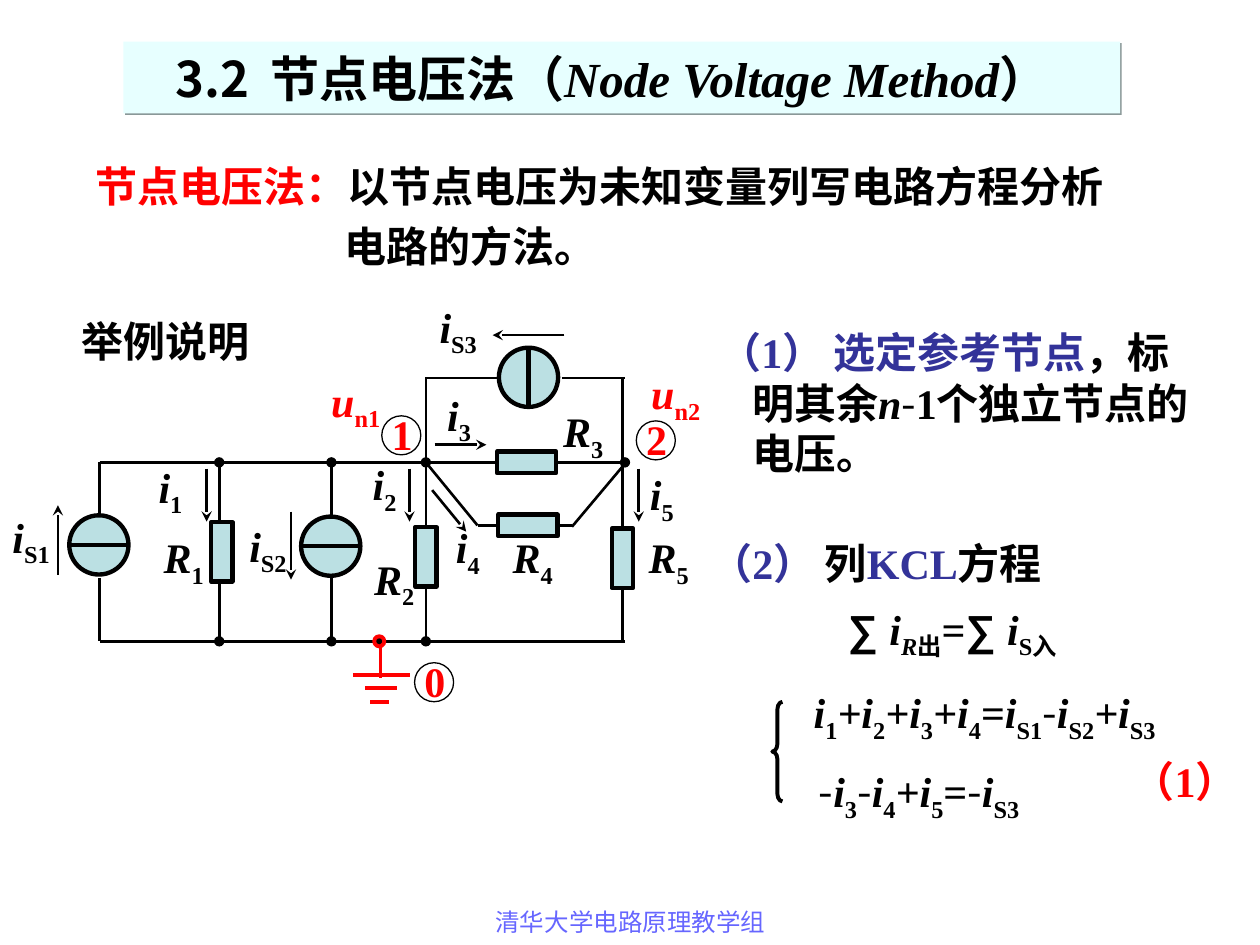
from dataclasses import dataclass
from typing import NamedTuple, Optional

from lxml import etree
from pptx import Presentation
from pptx.dml.color import RGBColor
from pptx.enum.shapes import MSO_CONNECTOR as Connector, MSO_SHAPE as Shape
from pptx.enum.text import MSO_AUTO_SIZE as AutoSize, PP_ALIGN as Align
from pptx.oxml.ns import qn
from pptx.util import Inches, Pt


@dataclass(frozen=True)
class Theme:
    black: str = "000000"
    red: str = "FF0000"
    blue: str = "333399"
    footer_blue: str = "6666FF"
    component: str = "BBE0E3"
    title_fill: str = "E7FFFF"
    title_shadow: str = "8A9898"
    serif: str = "Times New Roman"
    sans: str = "Arial"
    chinese: str = "Noto Sans CJK SC"
    title_size: float = 28
    body_size: float = 24
    footer_size: float = 14
    hairline: float = 0.75
    wire: float = 1.5
    ground: float = 2.25
    outline: float = 2.5


THEME = Theme()


@dataclass(frozen=True)
class Run:
    text: str
    color: str = THEME.black
    italic: bool = False
    bold: bool = True
    subscript: bool = False
    font: str = THEME.serif
    size: float = THEME.body_size
    spacing: float = 0


class Box(NamedTuple):
    left: float
    top: float
    width: float
    height: float


class Wire(NamedTuple):
    start: tuple[float, float]
    end: tuple[float, float]
    head: Optional[str] = None
    tail: Optional[str] = None
    color: str = THEME.black
    width: float = THEME.wire


class Label(NamedTuple):
    letter: str
    index: str
    left: float
    top: float
    color: str = THEME.black


LINE_BREAK = Run("\n")
MINUS = Run("-", font=THEME.chinese, bold=False)
PLUS = Run("+", italic=True)
EQUALS = Run("=")
SUM = Run("∑ ", font=THEME.sans)

presentation = Presentation()
presentation.slide_width, presentation.slide_height = Inches(10), Inches(7.5)
slide = presentation.slides.add_slide(presentation.slide_layouts[6])


def symbol(letter: str, index: str, color: str = THEME.black) -> list[Run]:
    return [Run(letter, color, italic=True), Run(index, color, subscript=True)]


def write(shape, runs: list[Run], wrap: bool = True, **paragraph_format):
    frame = shape.text_frame
    frame.word_wrap = wrap
    frame.auto_size = AutoSize.NONE if wrap else AutoSize.SHAPE_TO_FIT_TEXT
    paragraph = frame.paragraphs[0]
    for name, value in paragraph_format.items():
        setattr(paragraph, name, value)
    for item in runs:
        if item is LINE_BREAK:
            paragraph.add_line_break()
            continue
        run = paragraph.add_run()
        run.text = item.text
        formats = {"size": Pt(item.size), "bold": item.bold, "italic": item.italic, "name": item.font}
        for name, value in formats.items():
            setattr(run.font, name, value)
        run.font.color.rgb = RGBColor.from_string(item.color)
        properties = run._r.get_or_add_rPr()
        etree.SubElement(properties, qn("a:ea"), typeface=THEME.chinese)
        if item.subscript:
            properties.set("baseline", "-25000")
        if item.spacing:
            properties.set("spc", str(int(item.spacing * 100)))
    return paragraph


def add_text(box: Box, runs: list[Run], wrap: bool = True, **paragraph_format):
    shape = slide.shapes.add_textbox(*map(Inches, box))
    return write(shape, runs, wrap, **paragraph_format)


def add_chinese(box: Box, runs: list[Run], wrap: bool = True, stretch: float = 1, **paragraph_format):
    """Chinese text on a fixed line pitch of 1.2 times its size."""
    size = runs[0].size
    shape = slide.shapes.add_textbox(*map(Inches, box))
    shape.text_frame.margin_top = Inches(0.05) + Pt(size / 10)
    return write(shape, runs, wrap, line_spacing=Pt(1.2 * size * stretch), **paragraph_format)


def add_outline(kind: Shape, box: Box, fill: Optional[str], line: Optional[str], width: float = THEME.outline):
    shape = slide.shapes.add_shape(kind, *map(Inches, box))
    shape.shadow.inherit = False
    if fill:
        shape.fill.solid()
        shape.fill.fore_color.rgb = RGBColor.from_string(fill)
    else:
        shape.fill.background()
    if line:
        shape.line.color.rgb = RGBColor.from_string(line)
        shape.line.width = Pt(width)
    else:
        shape.line.fill.background()
    return shape


def add_wire(wire: Wire) -> None:
    connector = slide.shapes.add_connector(Connector.STRAIGHT, *map(Inches, wire.start + wire.end))
    connector.line.color.rgb = RGBColor.from_string(wire.color)
    connector.line.width = Pt(wire.width)
    for tag, kind in (("a:headEnd", wire.head), ("a:tailEnd", wire.tail)):
        if kind:
            etree.SubElement(connector.line._get_or_add_ln(), qn(tag), type=kind)
    etree.SubElement(connector._element.spPr, qn("a:effectLst"))


def add_source(left: float, top: float, vertical_bar: bool = False) -> None:
    size = 0.47
    add_outline(Shape.OVAL, Box(left, top, size, size), THEME.component, THEME.black)
    x, y = left + size / 2, top + size / 2
    ends = ((x, top), (x, top + size)) if vertical_bar else ((left, y), (left + size, y))
    add_wire(Wire(*ends, width=THEME.outline))


def add_resistor(x: float, y: float, width: float = 0.17, height: float = 0.47) -> None:
    box = Box(x - width / 2, y - height / 2, width, height)
    add_outline(Shape.RECTANGLE, box, THEME.component, THEME.black)


def add_label(label: Label) -> None:
    add_text(Box(label.left, label.top, 0.72, 0.56), symbol(label.letter, label.index, label.color))


def add_node_number(number: str, left: float, top: float) -> None:
    add_text(Box(left, top, 0.4, 0.5), [Run(number, THEME.red)])
    add_outline(Shape.OVAL, Box(left + 0.02, top + 0.11, 0.31, 0.31), None, THEME.black, THEME.hairline)


# Title bar with its hard shadow
title = add_outline(Shape.RECTANGLE, Box(0.98, 0.33, 7.91, 0.57), THEME.title_fill, None)
shadow = etree.SubElement(title._element.spPr.find(qn("a:effectLst")), qn("a:outerShdw"),
                          dist=str(Pt(1.4)), dir="2700000", algn="tl", rotWithShape="0")
etree.SubElement(shadow, qn("a:srgbClr"), val=THEME.title_shadow)
heading = {"size": THEME.title_size, "font": THEME.chinese}
write(title, [Run("3.2", **heading), Run(" ", spacing=6, **heading), Run("节点电压法（", **heading),
              Run("Node Voltage Method", italic=True, size=THEME.title_size), Run("）", **heading)],
      alignment=Align.CENTER)
title.text_frame.margin_right = Inches(0.26)

# Definition and steps, with hanging indents
definition = add_chinese(Box(0.66, 1.11, 8.77, 1.06),
                         [Run("节点电压法：", THEME.red), Run("以节点电压为未知变量列写电路方程分析"),
                          LINE_BREAK, Run("电路的方法。")], stretch=1.2)
step_one = add_chinese(Box(5.24, 2.51, 4.38, 1.3),
                       [Run("（1） 选定参考节点", THEME.blue), Run("，标明其余"), Run("n", italic=True),
                        MINUS, Run("1个独立节点的电压。")])
for paragraph, margin, indent in ((definition, 1.98, -1.98), (step_one, 0.63, -0.26)):
    properties = paragraph._p.get_or_add_pPr()
    properties.set("marL", str(Inches(margin)))
    properties.set("indent", str(Inches(indent)))

add_chinese(Box(0.55, 2.42, 1.68, 0.5), [Run("举例说明")], wrap=False)
add_chinese(Box(5.54, 4.18, 3.3, 0.5),
            [Run("（2）", THEME.blue), Run(" 列"), Run("KCL", THEME.blue), Run("方程")], wrap=False)

# Equations
add_text(Box(6.63, 4.74, 2.15, 0.56),
         [SUM, Run("i", italic=True), Run("R", italic=True, subscript=True), Run("出", subscript=True),
          EQUALS, SUM, *symbol("i", "S入")], wrap=False)
add_text(Box(6.36, 5.4, 3, 0.56),
         [*symbol("i", "1"), PLUS, *symbol("i", "2"), PLUS, *symbol("i", "3"), PLUS, *symbol("i", "4"), EQUALS,
          *symbol("i", "S1"), MINUS, *symbol("i", "S2"), PLUS, *symbol("i", "S3")], wrap=False)
add_text(Box(6.4, 6.03, 1.86, 0.56),
         [MINUS, *symbol("i", "3"), MINUS, *symbol("i", "4"), PLUS, *symbol("i", "5"), EQUALS,
          MINUS, *symbol("i", "S3")], wrap=False)
add_chinese(Box(8.89, 5.91, 1.19, 0.5), [Run("（1）", THEME.red)], wrap=False)
brace = add_outline(Shape.LEFT_BRACE, Box(6.13, 5.57, 0.08, 0.79), None, THEME.black, THEME.ground)
brace.adjustments[0] = 0.75

# Circuit wires
TOP, MIDDLE, BOTTOM = 3, 3.67, 5.09
for wire in (
    Wire((0.79, 4.59), (0.79, BOTTOM)), Wire((0.79, 4.09), (0.79, MIDDLE)),
    Wire((0.79, BOTTOM), (4.96, BOTTOM)), Wire((0.79, MIDDLE), (4.96, MIDDLE), tail="oval"),
    Wire((1.74, BOTTOM), (1.74, MIDDLE), "oval", "oval"),
    Wire((3.38, MIDDLE), (3.38, BOTTOM), "oval", "oval"), Wire((3.38, MIDDLE), (3.38, TOP)),
    Wire((4.46, TOP), (4.96, TOP)), Wire((3.96, TOP), (3.37, TOP)), Wire((4.94, TOP), (4.94, BOTTOM)),
    Wire((3.79, 4.17), (4.54, 4.17)), Wire((3.38, MIDDLE), (3.79, 4.17)), Wire((4.96, 3.68), (4.54, 4.18)),
    Wire((2.63, 4.12), (2.63, MIDDLE), tail="oval"), Wire((2.63, 4.59), (2.63, BOTTOM), tail="oval"),
):
    add_wire(wire)

# Current arrows
for start, end in (
    ((4.48, 2.66), (3.91, 2.66)), ((0.46, 4.56), (0.46, 4.01)), ((2.31, 4.06), (2.31, 4.6)),
    ((3.43, 3.89), (3.7, 4.22)), ((3.45, 3.53), (3.86, 3.53)),
    *(((x, 3.72), (x, 4.14)) for x in (1.64, 3.25, 5.07)),
):
    add_wire(Wire(start, end, tail="stealth"))

# Sources and resistors
add_source(0.55, 4.09)
add_source(2.39, 4.1)
add_source(3.96, 2.76, vertical_bar=True)
for x, y in ((1.76, 4.38), (3.38, 4.42), (4.94, 4.43)):
    add_resistor(x, y)
for x, y in ((4.18, 3.67), (4.19, 4.17)):
    add_resistor(x, y, 0.47, 0.17)

# Circuit labels
for label in (
    Label("i", "S1", 0, 4.01), Label("i", "S2", 1.88, 4.08), Label("i", "S3", 3.39, 2.34),
    Label("i", "1", 1.16, 3.61), Label("i", "2", 2.86, 3.59), Label("i", "3", 3.45, 3.04),
    Label("i", "4", 3.52, 4.09), Label("i", "5", 5.06, 3.67),
    Label("R", "1", 1.2, 4.17), Label("R", "2", 2.87, 4.34), Label("R", "3", 4.37, 3.17),
    Label("R", "4", 3.97, 4.17), Label("R", "5", 5.05, 4.17),
    Label("u", "n1", 2.53, 2.93, THEME.red), Label("u", "n2", 5.07, 2.87, THEME.red),
):
    add_label(label)

# Ground symbol and node numbers
for start, end in (((2.8, 5.36), (3.25, 5.36)), ((2.9, 5.46), (3.15, 5.46)),
                   ((2.94, 5.57), (3.09, 5.57)), ((3.02, BOTTOM), (3.02, 5.38))):
    add_wire(Wire(start, end, color=THEME.red, width=THEME.ground))
add_outline(Shape.OVAL, Box(2.97, 5.05, 0.08, 0.08), THEME.black, THEME.red, THEME.ground)
for number, left, top in (("0", 3.27, 5.15), ("1", 3.01, 3.19), ("2", 5.03, 3.23)):
    add_node_number(number, left, top)

# Footer
add_chinese(Box(3.42, 7.13, 3.17, 0.52),
            [Run("清华大学电路原理教学组", THEME.footer_blue, bold=False, size=THEME.footer_size)],
            alignment=Align.CENTER)

presentation.save("out.pptx")
